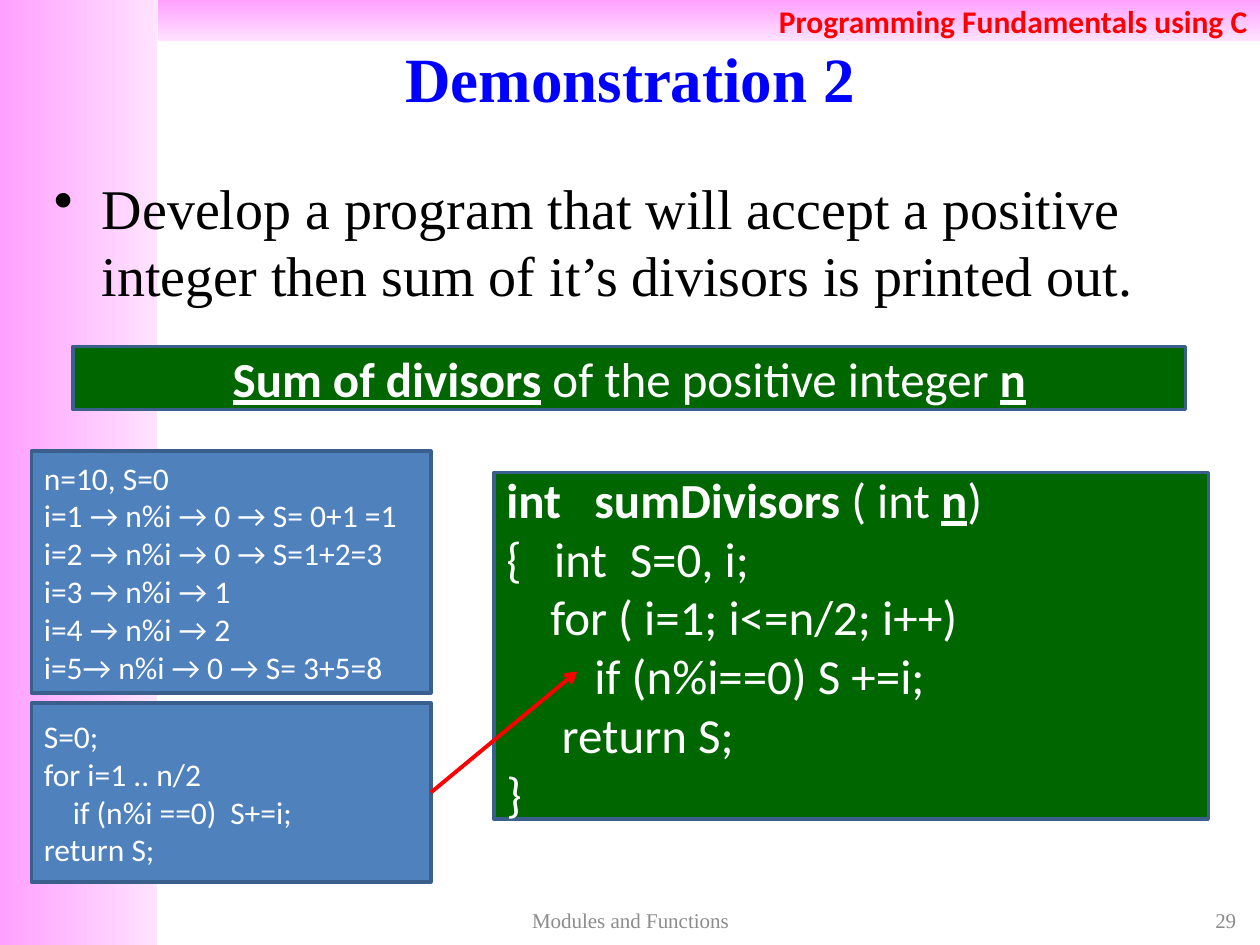
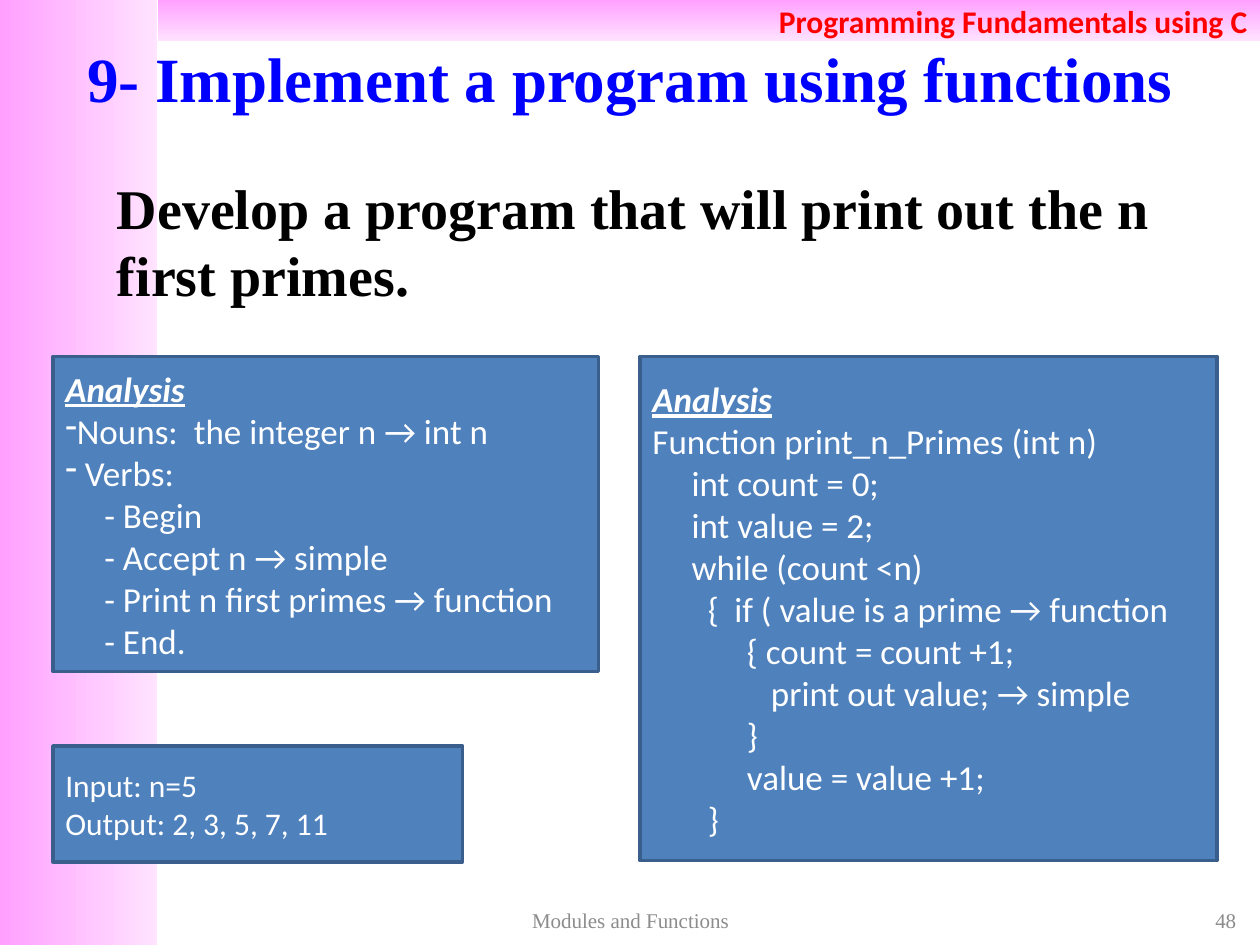
from dataclasses import dataclass
from typing import NamedTuple

from lxml import etree
from pptx import Presentation
from pptx import util as u
from pptx.dml.color import RGBColor
from pptx.enum import shapes, text
from pptx.oxml import ns

LEFT, CENTER, RIGHT = text.PP_ALIGN.LEFT, text.PP_ALIGN.CENTER, text.PP_ALIGN.RIGHT
TOP, MIDDLE = text.MSO_ANCHOR.TOP, text.MSO_ANCHOR.MIDDLE


@dataclass(frozen=True)
class Theme:
    serif: str = "Times New Roman"
    sans: str = "Calibri"
    band_start: str = "FFA0FF"
    band_end: str = "FFE3FF"
    header: str = "FF0000"
    title: str = "0000FF"
    body: str = "000000"
    footer: str = "8C8C8C"
    panel_text: str = "FFFFFF"
    panel_line: str = "3A5F8C"
    blue: str = "4F81BD"
    green: str = "006600"
    arrow: str = "FF0000"
    title_size: float = 36
    body_size: float = 32
    code_size: float = 28
    analysis_size: float = 20
    small_size: float = 18
    footer_size: float = 12
    panel_line_width: float = 2
    arrow_width: float = 2.25


T = Theme()


class Box(NamedTuple):
    left: float
    top: float
    width: float
    height: float


class Font(NamedTuple):
    name: str
    size: float
    color: str


class Run(NamedTuple):
    text: str
    style: str = ""


class Line(NamedTuple):
    runs: tuple
    tabs: tuple = ()
    bullet: str = ""
    hang: float = 0
    before: float = 0


@dataclass
class Panel:
    box: Box
    fill: str
    size: float
    lines: list
    align: int = LEFT


def line(words: str, *tabs: float, style: str = "", bullet: str = "",
         hang: float = 0, before: float = 0) -> Line:
    return Line((Run(words, style),), tabs, bullet, hang, before)


def inches(box: Box) -> list:
    return [u.Inches(v) for v in box]


def rgb(color: str) -> RGBColor:
    return RGBColor.from_string(color)


def format_paragraph(p, ln: Line) -> None:
    pPr = p._p.get_or_add_pPr()
    if ln.before:
        p.space_before = u.Pt(ln.before)
    if ln.bullet:
        pPr.set("marL", str(u.Inches(ln.hang)))
        pPr.set("indent", str(-u.Inches(ln.hang)))
        etree.SubElement(pPr, ns.qn("a:buChar"), char=ln.bullet)
    if ln.tabs:
        stops = etree.SubElement(pPr, ns.qn("a:tabLst"))
        for stop in ln.tabs:
            etree.SubElement(stops, ns.qn("a:tab"), pos=str(u.Inches(stop)), algn="l")


def write(sp, lines: list, font: Font, align: int = LEFT, anchor: int = MIDDLE) -> None:
    tf = sp.text_frame
    tf.word_wrap = True
    tf.vertical_anchor = anchor
    for i, ln in enumerate(lines):
        p = tf.add_paragraph() if i else tf.paragraphs[0]
        p.alignment = align
        format_paragraph(p, ln)
        for run in ln.runs:
            r = p.add_run()
            r.text = run.text
            r.font.name = font.name
            r.font.size = u.Pt(font.size)
            r.font.color.rgb = rgb(font.color)
            r.font.bold = "b" in run.style
            r.font.italic = "i" in run.style
            r.font.underline = "u" in run.style


def add_text(s, box: Box, lines: list, font: Font, align: int = LEFT,
             anchor: int = MIDDLE) -> None:
    write(s.shapes.add_textbox(*inches(box)), lines, font, align, anchor)


def add_rect(s, box: Box):
    sp = s.shapes.add_shape(shapes.MSO_SHAPE.RECTANGLE, *inches(box))
    sp.shadow.inherit = False
    return sp


def add_band(s, box: Box, angle: float):
    sp = add_rect(s, box)
    sp.line.fill.background()
    sp.fill.gradient()
    sp.fill.gradient_angle = angle
    for stop, color in zip(sp.fill.gradient_stops, (T.band_start, T.band_end)):
        stop.color.rgb = rgb(color)
    return sp


def add_panel(s, panel: Panel) -> None:
    sp = add_rect(s, panel.box)
    sp.fill.solid()
    sp.fill.fore_color.rgb = rgb(panel.fill)
    sp.line.color.rgb = rgb(T.panel_line)
    sp.line.width = u.Pt(T.panel_line_width)
    write(sp, panel.lines, Font(T.sans, panel.size, T.panel_text), panel.align)


def add_arrow(s, start: tuple, end: tuple) -> None:
    cx = s.shapes.add_connector(shapes.MSO_CONNECTOR.STRAIGHT,
                                *[u.Inches(v) for v in start + end])
    cx.line.color.rgb = rgb(T.arrow)
    cx.line.width = u.Pt(T.arrow_width)
    etree.SubElement(cx.line._get_or_add_ln(), ns.qn("a:tailEnd"), type="arrow")
    etree.SubElement(cx._element.spPr, ns.qn("a:effectLst"))


def add_slide(prs, title: str, number: int, body_box: Box, body: Line, panels: list):
    s = prs.slides.add_slide(prs.slide_layouts[6])
    add_band(s, Box(0, 0, 1.25, 7.5), 0)
    header = add_band(s, Box(1.25, 0, 8.75, 0.33), 270)
    write(header, [line("Programming Fundamentals using C", style="b")],
          Font(T.sans, T.small_size, T.header), RIGHT)
    add_text(s, Box(0, 0.3, 10, 0.62), [line(title, style="b")],
             Font(T.serif, T.title_size, T.title), CENTER)
    add_text(s, body_box, [body], Font(T.serif, T.body_size, T.body), anchor=TOP)
    for panel in panels:
        add_panel(s, panel)
    footer = Font(T.serif, T.footer_size, T.footer)
    add_text(s, Box(7.58, 7.17, 2.33, 0.27), [line(str(number))], footer, RIGHT)
    add_text(s, Box(3.42, 7.17, 3.17, 0.27), [line("Modules and Functions")], footer, CENTER)
    return s


prs = Presentation()
prs.slide_width, prs.slide_height = u.Inches(10), u.Inches(7.5)

heading = Panel(Box(0.58, 2.75, 8.83, 0.5), T.green, T.code_size, [
    Line((Run("Sum of divisors", "bu"), Run(" of the positive integer "), Run("n", "bu"))),
], CENTER)
trace = Panel(Box(0.25, 3.58, 3.17, 1.92), T.blue, T.small_size, [
    line("n=10, S=0"),
    line("i=1 → n%i → 0 → S= 0+1 =1"),
    line("i=2 → n%i → 0 → S=1+2=3"),
    line("i=3 → n%i → 1"),
    line("i=4 → n%i → 2"),
    line("i=5→ n%i → 0 → S= 3+5=8"),
])
pseudocode = Panel(Box(0.25, 5.58, 3.17, 1.42), T.blue, T.small_size, [
    line("S=0;"),
    line("for i=1 .. n/2"),
    line("\tif (n%i ==0)\tS+=i;", 0.23, 1.48),
    line("return S;"),
])
code = Panel(Box(3.92, 3.75, 5.67, 2.75), T.green, T.code_size, [
    Line((Run("int\tsumDivisors", "b"), Run(" ( int "), Run("n", "bu"), Run(")")), (0.7,)),
    line("{\tint\tS=0, i;", 0.38, 0.98),
    line("\tfor ( i=1; i<=n/2; i++)", 0.35),
    line("\tif (n%i==0) S +=i;", 0.7),
    line("\treturn S;", 0.44),
    line("}"),
])
s = add_slide(
    prs, "Demonstration 2", 29, Box(0.33, 1.33, 9.17, 2.33),
    line("Develop a program that will accept a positive integer then sum of "
         "it’s divisors is printed out.", bullet="•", hang=0.38, before=6.4),
    [heading, trace, pseudocode, code])
add_arrow(s, (3.42, 6.29), (4.58, 5.33))

STEP, BLOCK, INNER, DEEP = 0.31, 0.44, 0.75, 0.94
analysis = Panel(Box(0.42, 2.83, 4.33, 2.5), T.blue, T.analysis_size, [
    line("Analysis", style="biu"),
    line("Nouns:\tthe integer n → int n", 1.02, bullet="-"),
    line(" Verbs:", bullet="-"),
    *[line(f"\t- {verb}", STEP) for verb in (
        "Begin", "Accept n → simple", "Print n first primes → function", "End.")],
])
function = Panel(Box(5.08, 2.83, 4.58, 4), T.blue, T.analysis_size, [
    line("Analysis", style="biu"),
    line("Function print_n_Primes (int n)"),
    line("\tint count = 0;", STEP),
    line("\tint value = 2;", STEP),
    line("\twhile (count <n)", STEP),
    line("\t{\tif ( value is a prime → function", BLOCK, 0.65),
    line("\t{ count = count +1;", INNER),
    line("\tprint out value; → simple", DEEP),
    line("\t}", INNER),
    line("\tvalue = value +1;", INNER),
    line("\t}", BLOCK),
])
sample = Panel(Box(0.42, 5.92, 3.25, 0.92), T.blue, T.small_size, [
    line("Input: n=5"),
    line("Output: 2, 3, 5, 7, 11"),
])
add_slide(
    prs, "9- Implement a program using functions", 48, Box(0.83, 1.33, 8.67, 1.33),
    line("Develop a program that will print out the n first primes.", style="b", before=6.4),
    [analysis, function, sample])

prs.save("out.pptx")
